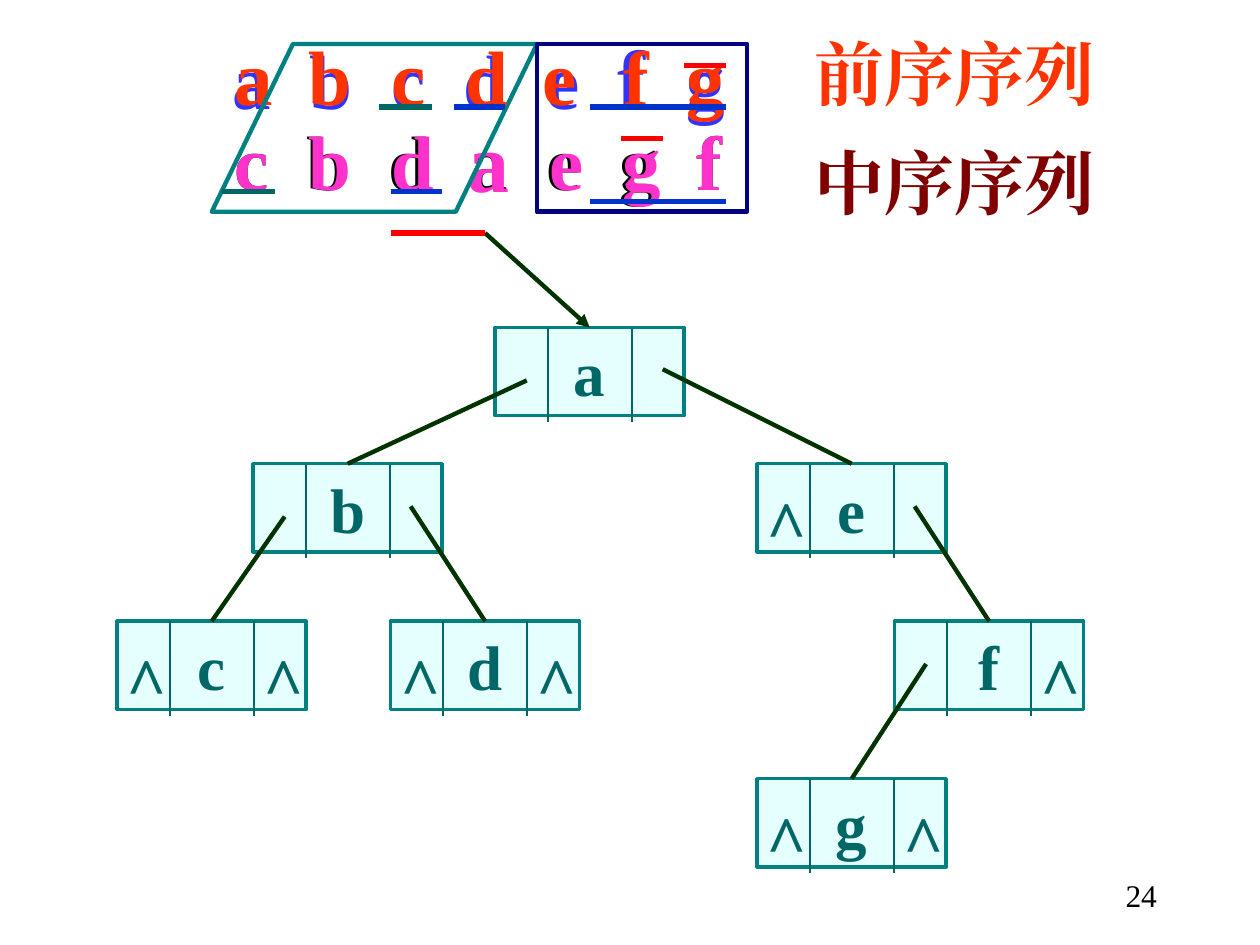
import pptx
import pptx.dml.color
import pptx.enum.shapes
import pptx.enum.text
import pptx.oxml
import pptx.oxml.ns
import pptx.util
from lxml import etree

Pt = pptx.util.Pt
qn = pptx.oxml.ns.qn
Align = pptx.enum.text.PP_ALIGN
Shape = pptx.enum.shapes.MSO_SHAPE


def rgb(code):
    return pptx.dml.color.RGBColor.from_string(code)


theme = {
    "font": "Times New Roman",
    "preorder": rgb("FF3300"), "preorder_shadow": rgb("3333FF"),
    "inorder": rgb("FF33CC"), "black": rgb("000000"),
    "inorder_title": rgb("800000"),
    "teal": rgb("008080"), "navy": rgb("000080"), "node_fill": rgb("CCFFFF"),
    "node_text": rgb("006666"), "link": rgb("003300"),
    "blue": rgb("0033CC"), "red": rgb("FF0000"),
    "letter": 44, "tall_letter": 48, "title": 40, "node": 36, "number": 18,
}

presentation = pptx.Presentation()
presentation.slide_width, presentation.slide_height = Pt(720), Pt(540)
slide = presentation.slides.add_slide(presentation.slide_layouts[6])


def add_text(text, left, top, width, height, size, color, bold=True):
    frame = slide.shapes.add_textbox(Pt(left), Pt(top), Pt(width), Pt(height)).text_frame
    frame.word_wrap = True
    frame.text = text
    for paragraph in frame.paragraphs:
        for run in paragraph.runs:
            run.font.name, run.font.size = theme["font"], Pt(theme[size])
            run.font.bold, run.font.color.rgb = bold, theme[color]
            east_asian = etree.SubElement(run.font._element, qn("a:ea"))
            east_asian.set("typeface", theme["font"])
    return frame


def add_line(x1, y1, x2, y2, color, width):
    line = slide.shapes.add_connector(
        pptx.enum.shapes.MSO_CONNECTOR.STRAIGHT, Pt(x1), Pt(y1), Pt(x2), Pt(y2))
    line.line.color.rgb, line.line.width = theme[color], Pt(width)
    etree.SubElement(line._element.spPr, qn("a:effectLst"))
    return line


# Offset rows of letters behind the coloured ones
preorder_row = add_text("\t".join("abcde"), 126, 10.8, 295.2, 64.8, "letter", "preorder_shadow")
inorder_row = add_text("\t".join("cbdaegf"), 126.7, 61.2, 293, 60.5, "letter", "black")
for text, size in (("\tf", "tall_letter"), ("\tg", "letter")):
    run = preorder_row.paragraphs[0].add_run()
    run.text = text
    run.font.name, run.font.size = theme["font"], Pt(theme[size])
    run.font.bold, run.font.color.rgb = True, theme["preorder_shadow"]
for frame, stops in ((preorder_row, (44, 90.5, 132, 178.5, 220, 259)),
                     (inorder_row, (41.5, 88, 134.5, 178.5, 220, 264))):
    frame.margin_right = 0
    tabs = etree.SubElement(frame.paragraphs[0]._p.get_or_add_pPr(), qn("a:tabLst"))
    for stop in stops:
        etree.SubElement(tabs, qn("a:tab"), pos=str(int(Pt(stop))), algn="l")

# Root letters, under the subtree outlines
add_text("a", 126.7, 13, 36, 60.5, "letter", "preorder")
add_text("a", 260, 58.3, 38.2, 64.8, "tall_letter", "inorder")

# Outlines of the left and right subtrees
for kind, left, width, color in ((Shape.PARALLELOGRAM, 121, 185.8, "teal"),
                                 (Shape.RECTANGLE, 306.7, 120.2, "navy")):
    outline = slide.shapes.add_shape(kind, Pt(left), Pt(25.2), Pt(width), Pt(95.8))
    outline.shadow.inherit = False
    outline.fill.background()
    outline.line.color.rgb, outline.line.width = theme[color], Pt(2.5)
    if kind == Shape.PARALLELOGRAM:
        outline.adjustments[0] = 0.484

# Coloured letters of both sequences
sequences = (
    (13, "preorder", zip("bcdefg", (169.2, 216.7, 259.2, 303.1, 349.2, 385.2))),
    (61.2, "inorder", zip("cbdegf", (126.7, 169.2, 216.7, 306.7, 348.5, 391))),
)
for top, color, letters in sequences:
    for letter, left in letters:
        add_text(letter, left, top, 39, 60.5, "letter", color)

# Tree nodes: name, left, top, empty left link, empty right link
nodes = (
    ("a", 283, 187.2, False, False),
    ("b", 144.7, 265, False, False),
    ("c", 67, 355, True, True),
    ("d", 223.2, 355, True, True),
    ("e", 432.7, 265, True, False),
    ("f", 511.2, 355, False, True),
    ("g", 432.7, 445, True, True),
)
for name, left, top, empty_left, empty_right in nodes:
    node = slide.shapes.add_shape(Shape.RECTANGLE, Pt(left), Pt(top), Pt(108), Pt(50.4))
    node.shadow.inherit = False
    node.fill.solid()
    node.fill.fore_color.rgb = theme["node_fill"]
    fill_color = node._element.spPr.find(qn("a:solidFill"))[0]
    etree.SubElement(fill_color, qn("a:alpha"), val="50000")
    node.line.color.rgb, node.line.width = theme["teal"], Pt(2)
    node.text_frame.text = name
    paragraph = node.text_frame.paragraphs[0]
    paragraph.alignment = Align.CENTER
    font = paragraph.runs[0].font
    font.name, font.size, font.bold = theme["font"], Pt(theme["node"]), True
    font.color.rgb = theme["node_text"]
    for offset in (30, 78):
        add_line(left + offset, top, left + offset, top + 54, "node_text", 1)
    for empty, offset in ((empty_left, -1.6), (empty_right, 76.4)):
        if empty:
            add_text("^", left + offset, top + 5.8, 37.4, 55.4, "title", "node_text")

# Links between nodes
for link in ((301, 217.4, 198.7, 265), (162.7, 295.2, 121, 355),
             (234.7, 289.4, 277.2, 355), (378.7, 211, 486.7, 265),
             (522.7, 289.4, 565.2, 355), (529.2, 379.4, 486.7, 445)):
    add_line(*link, "link", 2.5)
root_arrow = add_line(277.2, 133.2, 337, 187.2, "link", 2.5)
etree.SubElement(root_arrow.line._get_or_add_ln(), qn("a:tailEnd"), type="triangle")

# Marks above and below the letters
for x1, x2, y, color in (
    (216.7, 247, 61.2, "node_text"), (259.2, 288.7, 61.2, "blue"),
    (337, 414.7, 61.2, "blue"), (223.2, 277.2, 133.2, "red"),
    (126.7, 157, 109.4, "node_text"), (223.2, 252.7, 109.4, "blue"),
    (337, 414.7, 115.2, "blue"), (391, 414.7, 37.4, "red"),
    (355, 378.7, 79.2, "red"),
):
    add_line(x1, y, x2, y, color, 3)

# Sequence titles
titles = add_text("前序序列\n中序序列", 458.6, -0.7, 232.6, 132.5, "title", "preorder")
for paragraph in titles.paragraphs:
    paragraph.line_spacing = 1.3
titles.paragraphs[1].runs[0].font.color.rgb = theme["inorder_title"]

# Slide number
number = add_text("24", 518.4, 496.8, 149.8, 36, "number", "black", bold=False)
number.paragraphs[0].alignment = Align.RIGHT

presentation.save("out.pptx")
